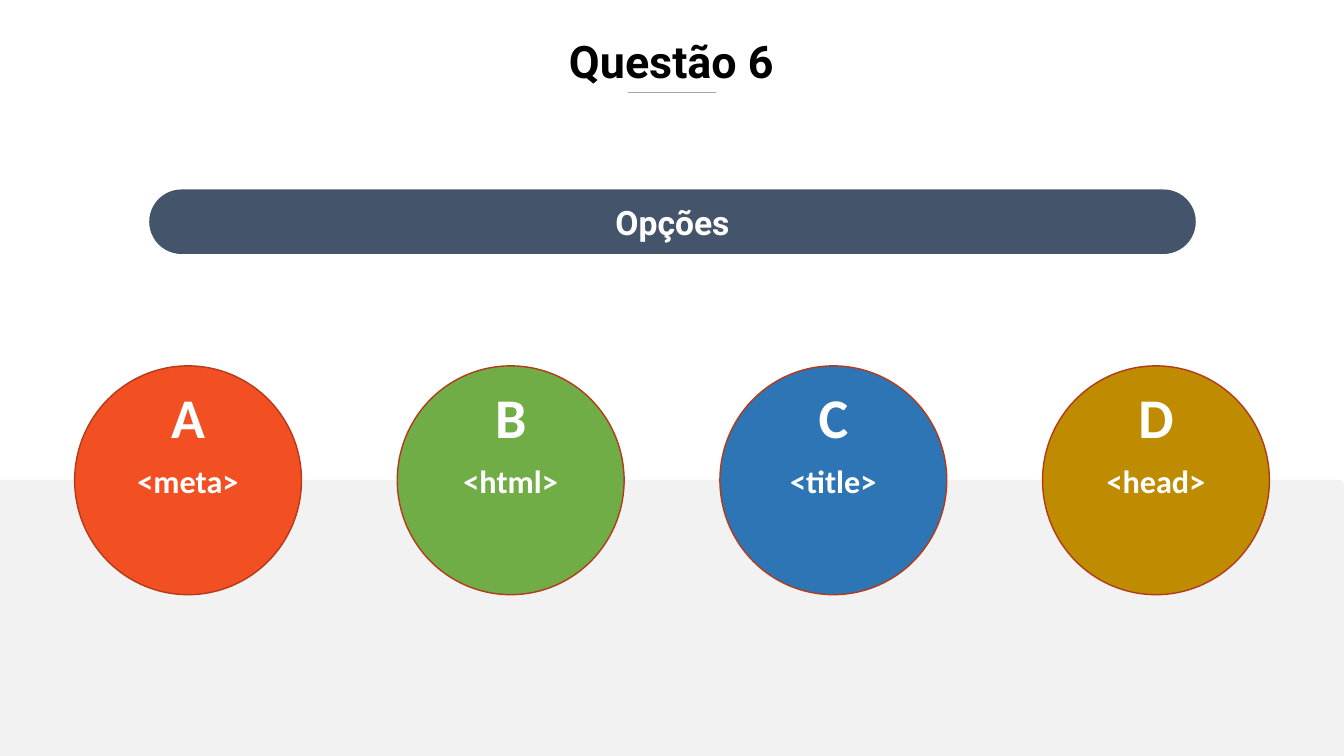
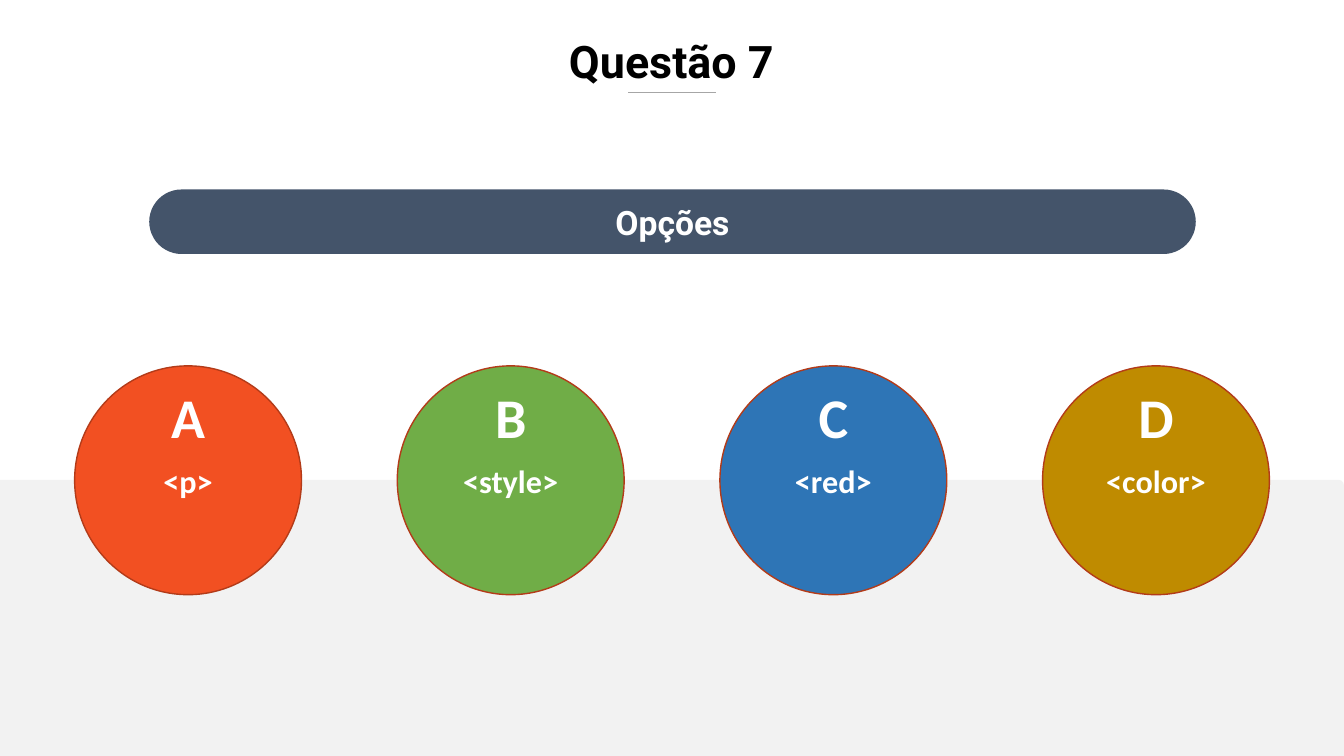
from pptx import Presentation
from pptx.dml.color import RGBColor
from pptx.enum.shapes import MSO_CONNECTOR, MSO_SHAPE
from pptx.enum.text import MSO_ANCHOR, MSO_AUTO_SIZE, PP_ALIGN
from pptx.oxml.ns import qn
from pptx.util import Inches, Pt
from lxml.etree import SubElement

WHITE = "FFFFFF"
ANSWER_COLOURS = {"A": "F25022", "B": "70AD47", "C": "2E75B6", "D": "BF8B00"}
QUESTIONS = {
    "Questão 6": ["<meta>", "<html>", "<title>", "<head>"],
    "Questão 7": ["<p>", "<style>", "<red>", "<color>"],
}
FIRST_LEFT, PITCH = 0.74, 3.2
CIRCLE_WIDTH, CIRCLE_HEIGHT = 2.25, 2.27
LETTER_WIDTH = 0.55


def rgb(value):
    return RGBColor.from_string(value)


def write(shape, text, font_name, size, colour, anchor=MSO_ANCHOR.MIDDLE):
    frame = shape.text_frame
    frame.text = text
    frame.vertical_anchor = anchor
    paragraph = frame.paragraphs[0]
    paragraph.alignment = PP_ALIGN.CENTER
    font = paragraph.font
    font.name, font.size, font.bold = font_name, Pt(size), True
    font.color.rgb = rgb(colour)


deck = Presentation()
deck.slide_width, deck.slide_height = Inches(13.33), Inches(7.5)
title_only = deck.slide_layouts[5]

for question, answers in QUESTIONS.items():
    page = deck.slides.add_slide(title_only)

    # Title
    title = page.shapes.title
    title.left, title.top = Inches(3.33), Inches(0.28)
    title.width, title.height = Inches(6.66), Inches(0.64)
    write(title, question, "Roboto", 32, "000000", MSO_ANCHOR.TOP)
    title.text_frame.auto_size = MSO_AUTO_SIZE.NONE

    # Grey floor and heading band
    floor = page.shapes.add_shape(MSO_SHAPE.ROUND_1_RECTANGLE, Inches(0), Inches(4.76),
                                  Inches(13.33), Inches(2.74))
    floor.adjustments[0] = 0.02
    band = page.shapes.add_shape(MSO_SHAPE.ROUNDED_RECTANGLE, Inches(1.48), Inches(1.88),
                                 Inches(10.38), Inches(0.64))
    band.adjustments[0] = 0.5
    for panel, colour in ((floor, "F2F2F2"), (band, "44546A")):
        panel.shadow.inherit = False
        panel.fill.solid()
        panel.fill.fore_color.rgb = rgb(colour)
        panel.line.fill.background()
    write(band, "Opções", "Roboto", 24, WHITE)

    # Rule under the title
    rule = page.shapes.add_connector(MSO_CONNECTOR.STRAIGHT, Inches(6.23), Inches(0.92),
                                     Inches(7.1), Inches(0.92))
    rule.line.color.rgb = rgb("A6A6A6")
    rule.line.width = Pt(0.5)
    SubElement(rule._element.spPr, qn("a:effectLst"))

    # Answer circles with their letters
    for index, (letter, colour) in enumerate(ANSWER_COLOURS.items()):
        left = FIRST_LEFT + index * PITCH
        circle = page.shapes.add_shape(MSO_SHAPE.OVAL, Inches(left), Inches(3.63),
                                       Inches(CIRCLE_WIDTH), Inches(CIRCLE_HEIGHT))
        circle.shadow.inherit = False
        circle.fill.solid()
        circle.fill.fore_color.rgb = rgb(colour)
        circle.line.color.rgb = rgb("B33B19")
        circle.line.width = Pt(1)
        write(circle, answers[index], "Calibri", 23, WHITE)

        letter_left = left + (CIRCLE_WIDTH - LETTER_WIDTH) / 2
        box = page.shapes.add_textbox(Inches(letter_left), Inches(3.75),
                                      Inches(LETTER_WIDTH), Inches(0.77))
        write(box, letter, "Calibri", 40, WHITE, MSO_ANCHOR.TOP)

deck.save("out.pptx")
